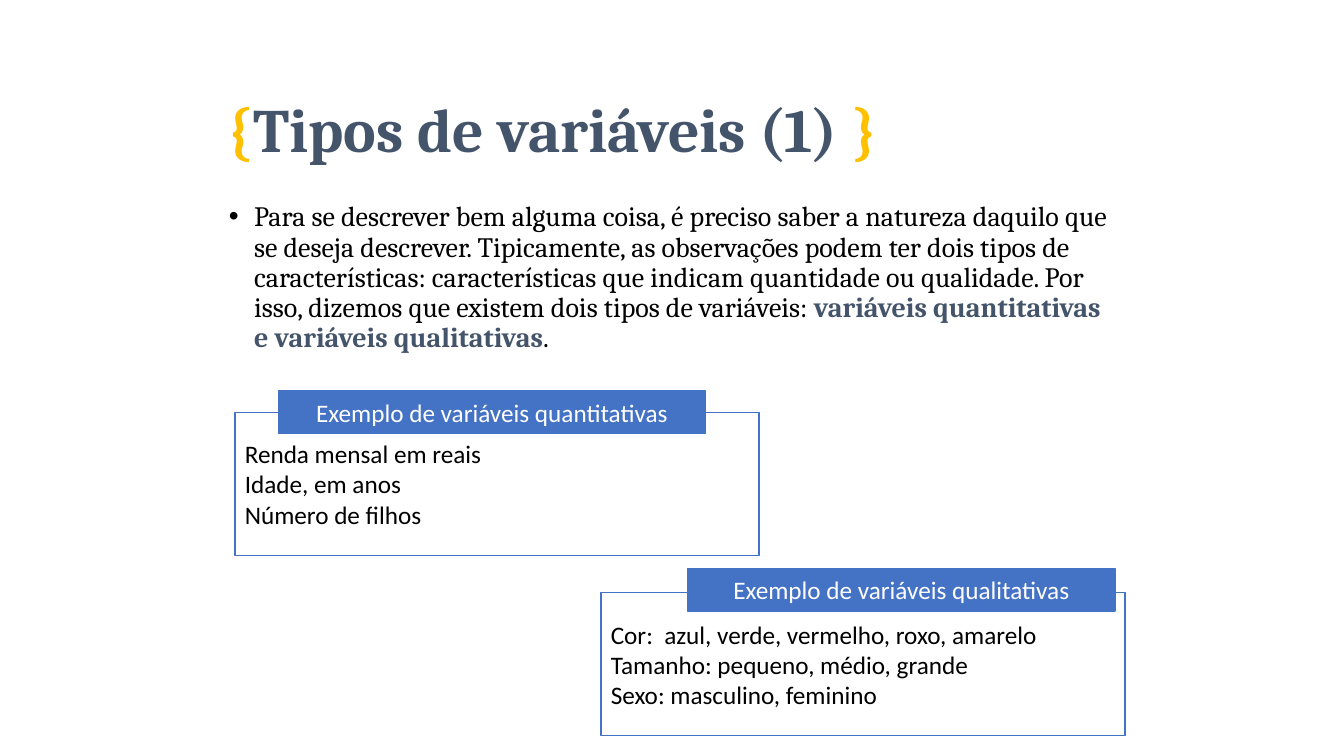
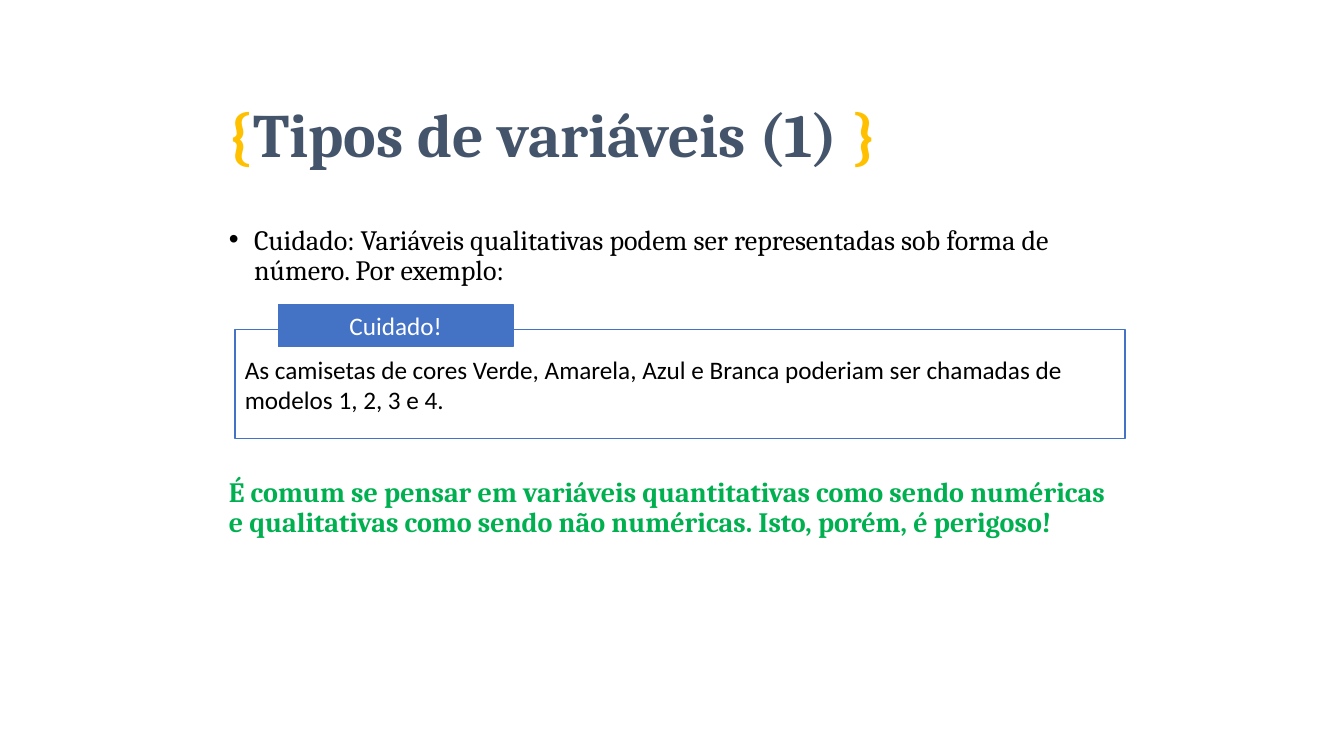
from pptx import Presentation
from pptx import util as u
from pptx.dml.color import RGBColor
from pptx.enum import shapes, text
from pptx.oxml.ns import qn
from lxml import etree

NAVY, GOLD, BLUE, GREEN = "44546A", "FFC000", "4472C4", "00B050"
BLACK, WHITE = "000000", "FFFFFF"
LEFT, WIDE = 2.17, 9


def hue(code):
    return RGBColor.from_string(code)


def write(para, words, font, size, code, bold=False):
    run = para.add_run()
    run.text = words
    run.font.name = font
    run.font.size = u.Pt(size)
    run.font.bold = bold
    run.font.color.rgb = hue(code)


def place(item, box):
    item.left, item.top, item.width, item.height = map(u.Inches, box)


def title(slide, box):
    head = slide.shapes.title
    place(head, box)
    frame = head.text_frame
    frame.auto_size = text.MSO_AUTO_SIZE.NONE
    frame.vertical_anchor = text.MSO_ANCHOR.MIDDLE
    para = frame.paragraphs[0]
    para.alignment = text.PP_ALIGN.LEFT
    para.line_spacing = 0.9
    para.space_before = u.Pt(0)
    for words, code in (("{", GOLD), ("Tipos de variáveis (1) ", NAVY), ("}", GOLD)):
        write(para, words, "Cambria", 44, code, True)


def body(slide, box, paras):
    hold = slide.placeholders[1]
    place(hold, box)
    frame = hold.text_frame
    frame.auto_size = text.MSO_AUTO_SIZE.NONE
    for i, (dot, gap, runs) in enumerate(paras):
        para = frame.add_paragraph() if i else frame.paragraphs[0]
        para.line_spacing = 0.9
        para.space_before = u.Pt(gap)
        props = para._p.get_or_add_pPr()
        dent = u.Inches(0.25) if dot else 0
        props.set("marL", str(dent))
        props.set("indent", str(-dent))
        if dot:
            etree.SubElement(props, qn("a:buFont")).set("typeface", "Arial")
            etree.SubElement(props, qn("a:buChar")).set("char", "•")
        else:
            etree.SubElement(props, qn("a:buNone"))
        for words, code, bold in runs:
            write(para, words, "Cambria", 20, code, bold)


def block(slide, box, lines, code, align, fill=None):
    rect = slide.shapes.add_shape(shapes.MSO_SHAPE.RECTANGLE, *map(u.Inches, box))
    rect.shadow.inherit = False
    rect.line.color.rgb = hue(BLUE)
    rect.line.width = u.Pt(1)
    if fill:
        rect.fill.solid()
        rect.fill.fore_color.rgb = hue(fill)
    else:
        rect.fill.background()
    frame = rect.text_frame
    frame.word_wrap = True
    frame.vertical_anchor = text.MSO_ANCHOR.MIDDLE
    for i, words in enumerate(lines):
        para = frame.add_paragraph() if i else frame.paragraphs[0]
        para.alignment = align
        write(para, words, "Calibri", 18, code)


def panel(slide, box, tab, label, lines):
    x, y, w, h = box
    dx, rise, wide = tab
    block(slide, box, lines, BLACK, text.PP_ALIGN.LEFT)
    block(slide, (x + dx, y - rise, wide, 0.42), [label], WHITE,
          text.PP_ALIGN.CENTER, BLUE)


def page(deck, top, box, paras, panels):
    slide = deck.slides.add_slide(deck.slide_layouts[1])
    title(slide, (LEFT, top, WIDE, 1.25))
    body(slide, box, paras)
    for part in panels:
        panel(slide, *part)


def main():
    deck = Presentation()
    deck.slide_width, deck.slide_height = u.Inches(13.33), u.Inches(7.5)
    page(deck, 0.69, (LEFT, 1.96, WIDE, 4.95), [
        (True, 10, [
            ("Para se descrever bem alguma coisa, é preciso saber a natureza "
             "daquilo que se deseja descrever. Tipicamente, as observações podem "
             "ter dois tipos de características: características que indicam "
             "quantidade ou qualidade. Por isso, dizemos que existem dois tipos "
             "de variáveis: ", BLACK, False),
            ("variáveis quantitativas e variáveis qualitativas", NAVY, True),
            (".", BLACK, False)]),
    ], [
        ((2.33, 4.09, 5.2, 1.42), (0.43, 0.21, 4.24),
         "Exemplo de variáveis quantitativas",
         ["Renda mensal em reais", "Idade, em anos", "Número de filhos"]),
        ((5.96, 5.88, 5.2, 1.42), (0.86, 0.24, 4.24),
         "Exemplo de variáveis qualitativas",
         ["Cor:  azul, verde, vermelho, roxo, amarelo",
          "Tamanho: pequeno, médio, grande", "Sexo: masculino, feminino"]),
    ])
    page(deck, 0.74, (LEFT, 2.19, WIDE, 5), [
        (True, 10, [
            ("Cuidado: Variáveis qualitativas podem ser representadas sob forma "
             "de número. Por exemplo:", BLACK, False)]),
        (False, 137, [
            ("É comum se pensar em variáveis quantitativas como sendo numéricas "
             "e qualitativas como sendo não numéricas. Isto, porém, é perigoso!",
             GREEN, True)]),
    ], [
        ((2.33, 3.27, 8.83, 1.08), (0.43, 0.25, 2.33), "Cuidado!",
         ["As camisetas de cores Verde, Amarela, Azul e Branca poderiam ser "
          "chamadas de modelos 1, 2, 3 e 4."]),
    ])
    deck.save("out.pptx")


if __name__ == "__main__":
    main()
